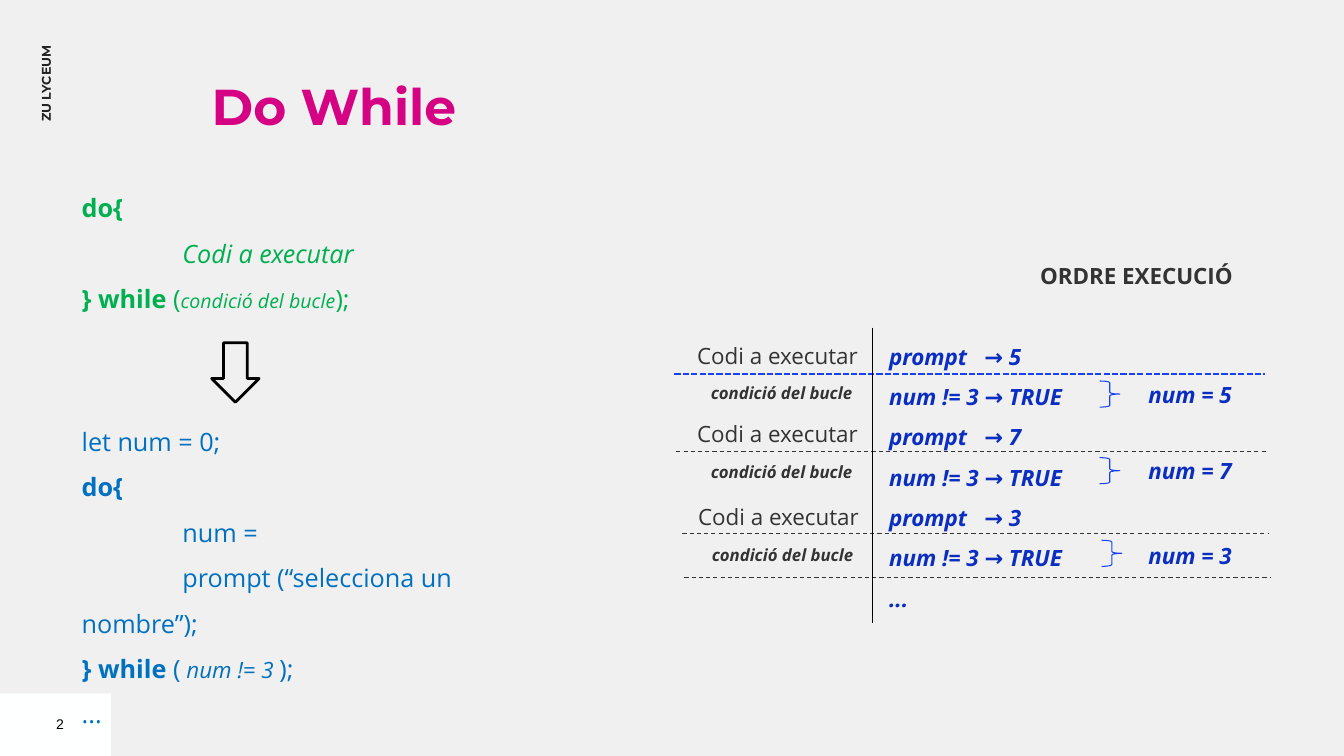
import dataclasses

import lxml.etree
import pptx
import pptx.dml.color
import pptx.enum.dml
import pptx.enum.shapes
import pptx.enum.text
import pptx.oxml.ns
import pptx.util


@dataclasses.dataclass(frozen=True)
class Theme:
    background: str = "F0F0F0"
    corner: str = "FEFFFF"
    title: str = "D50283"
    syntax: str = "00B050"
    example: str = "0070C0"
    trace: str = "0A2DC2"
    rule: str = "1741F3"
    label: str = "333333"
    side: str = "222222"
    black: str = "000000"
    title_size: int = 36
    code_size: int = 18
    trace_size: int = 16
    condition_size: int = 14
    note_size: int = 12
    page_size: int = 10
    side_size: int = 9


theme = Theme()
rgb = pptx.dml.color.RGBColor.from_string
align = pptx.enum.text.PP_ALIGN
auto_size = pptx.enum.text.MSO_AUTO_SIZE
preset = pptx.enum.shapes.MSO_SHAPE
dash = pptx.enum.dml.MSO_LINE
qualified = pptx.oxml.ns.qn

presentation = pptx.Presentation()
presentation.slide_width = pptx.util.Inches(13.33)
presentation.slide_height = pptx.util.Inches(7.5)
column = presentation.slide_width / 40
row = presentation.slide_height / 30


def grid(left, top, width, height):
    return [round(left * column), round(top * row), round(width * column), round(height * row)]


def write(paragraph, text, size, color, font="Open Sans", bold=False, italic=False):
    run = paragraph.add_run()
    run.text = text
    run.font.name = font
    run.font.size = pptx.util.Pt(size)
    run.font.color.rgb = rgb(color)
    run.font.bold = bold
    run.font.italic = italic


slide = presentation.slides.add_slide(presentation.slide_layouts[3])
slide.background.fill.solid()
slide.background.fill.fore_color.rgb = rgb(theme.background)

title, syntax, example = slide.placeholders
title.left, title.top, title.width, title.height = grid(6.3, 3.44, 21.36, 2.2)
title.text_frame.vertical_anchor = pptx.enum.text.MSO_ANCHOR.TOP
title.text_frame.auto_size = auto_size.NONE
title.text_frame.margin_left = title.text_frame.margin_right = 0
title.text_frame.margin_top = title.text_frame.margin_bottom = 0
title_paragraph = title.text_frame.paragraphs[0]
title_paragraph.alignment = align.LEFT
title_paragraph.line_spacing = 0.8
write(title_paragraph, "Do While", theme.title_size, theme.title, font="Montserrat", bold=True)

bold, italic = {"bold": True}, {"italic": True}
small = {"italic": True, "size": theme.condition_size}
medium = {"italic": True, "size": theme.trace_size}
trace_style = {"bold": True, "italic": True}
trace_lines = []
for value in (5, 7, 3):
    trace_lines += [
        (0, [(f"prompt   → {value}", trace_style)]),
        (0, [("num != 3 → TRUE", trace_style)]),
    ]
trace_lines.append((0, [("...", trace_style)]))
trace_area = grid(26.46, 13.08, 10, 11.12)
trace = slide.shapes.add_textbox(*trace_area)

code_blocks = [
    (syntax, grid(2.43, 7.04, 17.64, 5.24), theme.code_size, theme.syntax, [
        (0, [("do{", bold)]),
        (3, [("Codi a executar", italic)]),
        (0, [("} while", bold), (" (", {}), ("condició del bucle", small), (");", {})]),
    ]),
    (example, grid(2.43, 16.32, 14.4, 10.68), theme.code_size, theme.example, [
        (0, [("let num = 0;", {})]),
        (0, [("do{", bold)]),
        (3, [("num =", {})]),
        (3, [("prompt (“selecciona un nombre”);", {})]),
        (0, [("} while ", bold), ("(", {}), (" ", medium), ("num != 3 ", medium), (");", {})]),
        (0, [("...", {})]),
    ]),
    (trace, trace_area, theme.trace_size, theme.trace, trace_lines),
]
for shape, area, size, color, lines in code_blocks:
    shape.left, shape.top, shape.width, shape.height = area
    frame = shape.text_frame
    frame.word_wrap = True
    frame.auto_size = auto_size.SHAPE_TO_FIT_TEXT
    frame.margin_left = frame.margin_right = frame.margin_top = frame.margin_bottom = 0
    for index, (indent, line) in enumerate(lines):
        paragraph = frame.add_paragraph() if index else frame.paragraphs[0]
        properties = paragraph._p.get_or_add_pPr()
        properties.set("marL", "0")
        properties.set("indent", str(round(indent * column)))
        lxml.etree.SubElement(properties, qualified("a:buNone"))
        paragraph.line_spacing = 1.5
        paragraph.space_before = pptx.util.Pt(0)
        for text, style in line:
            write(paragraph, text, **{"size": size, "color": color, **style})

steps = [
    (5, 19.56, 13.56, 15.12, 15.12, 32.73),
    (7, 19.56, 16.68, 18.16, 18.16, 32.73),
    (3, 19.59, 19.96, 21.52, 21.44, 32.79),
]
body_style = {"size": theme.trace_size, "color": theme.label}
note_style = {"size": theme.note_size, "color": theme.label, "bold": True, "italic": True}
value_style = {"size": theme.trace_size, "color": theme.trace, "bold": True, "italic": True}
labels = [("ORDRE EXECUCIÓ", grid(30.72, 10.4, 5.97, 1.08), align.RIGHT, {**body_style, "bold": True})]
outlines = [
    (preset.RECTANGLE, grid(0, 27.52, 3.3, 2.48), theme.corner, None, 0),
    (preset.DOWN_ARROW, grid(6.3, 13.6, 1.41, 2.36), None, theme.black, 2),
]
for value, left, top, value_top, brace_top, brace_left in steps:
    labels += [
        ("Codi a executar", grid(left, top, 5.97, 1.08), align.RIGHT, body_style),
        ("condició del bucle ", grid(left + 0.39, top + 1.64, 5.55, 0.8), align.RIGHT, note_style),
        (f"num = {value}", grid(34.18, value_top, 2.94, 1.08), align.LEFT, value_style),
    ]
    outlines.append((preset.RIGHT_BRACE, grid(brace_left, brace_top, 0.6, 1.04), None, theme.rule, 0.75))

for kind, area, fill, line, weight in outlines:
    shape = slide.shapes.add_shape(kind, *area)
    shape.shadow.inherit = False
    if fill:
        shape.fill.solid()
        shape.fill.fore_color.rgb = rgb(fill)
        shape.element.getparent().insert(2, shape.element)
    else:
        shape.fill.background()
    if line:
        shape.line.color.rgb = rgb(line)
        shape.line.width = pptx.util.Pt(weight)
    else:
        shape.line.fill.background()

for text, area, alignment, style in labels:
    frame = slide.shapes.add_textbox(*area).text_frame
    frame.word_wrap = True
    frame.auto_size = auto_size.SHAPE_TO_FIT_TEXT
    frame.margin_left = frame.margin_right = frame.margin_top = frame.margin_bottom = 0
    frame.paragraphs[0].alignment = alignment
    write(frame.paragraphs[0], text, **style)

side = slide.shapes.add_textbox(*grid(-0.03, 2.68, 2.79, 1))
side.rotation = 270
side.text_frame.word_wrap = False
side.text_frame.margin_left = side.text_frame.margin_right = pptx.util.Inches(0.05)
write(side.text_frame.paragraphs[0], "ZU LYCEUM", theme.side_size, theme.side, font="Montserrat", bold=True)

page = slide.shapes.add_textbox(*grid(1.38, 28.2, 0.87, 1.04))
page.text_frame.word_wrap = True
write(page.text_frame.paragraphs[0], "2", theme.page_size, theme.black, font="Arial")

rules = [
    (20.07, 14.84, 37.65, 14.84, theme.rule, 1.5, dash.SQUARE_DOT),
    (20.13, 17.92, 37.71, 17.92, theme.label, 0.75, dash.DASH),
    (20.31, 21.16, 37.74, 21.16, theme.label, 0.75, dash.DASH),
    (20.37, 22.92, 37.8, 22.92, theme.label, 0.75, dash.DASH),
    (25.98, 13, 25.98, 24.72, theme.black, 0.75, dash.SOLID),
]
for left, top, right, bottom, color, weight, style in rules:
    connector = slide.shapes.add_connector(
        pptx.enum.shapes.MSO_CONNECTOR.STRAIGHT, *grid(left, top, right, bottom)
    )
    connector.line.color.rgb = rgb(color)
    connector.line.width = pptx.util.Pt(weight)
    connector.line.dash_style = style
    lxml.etree.SubElement(connector.element.spPr, qualified("a:effectLst"))

presentation.save("out.pptx")
